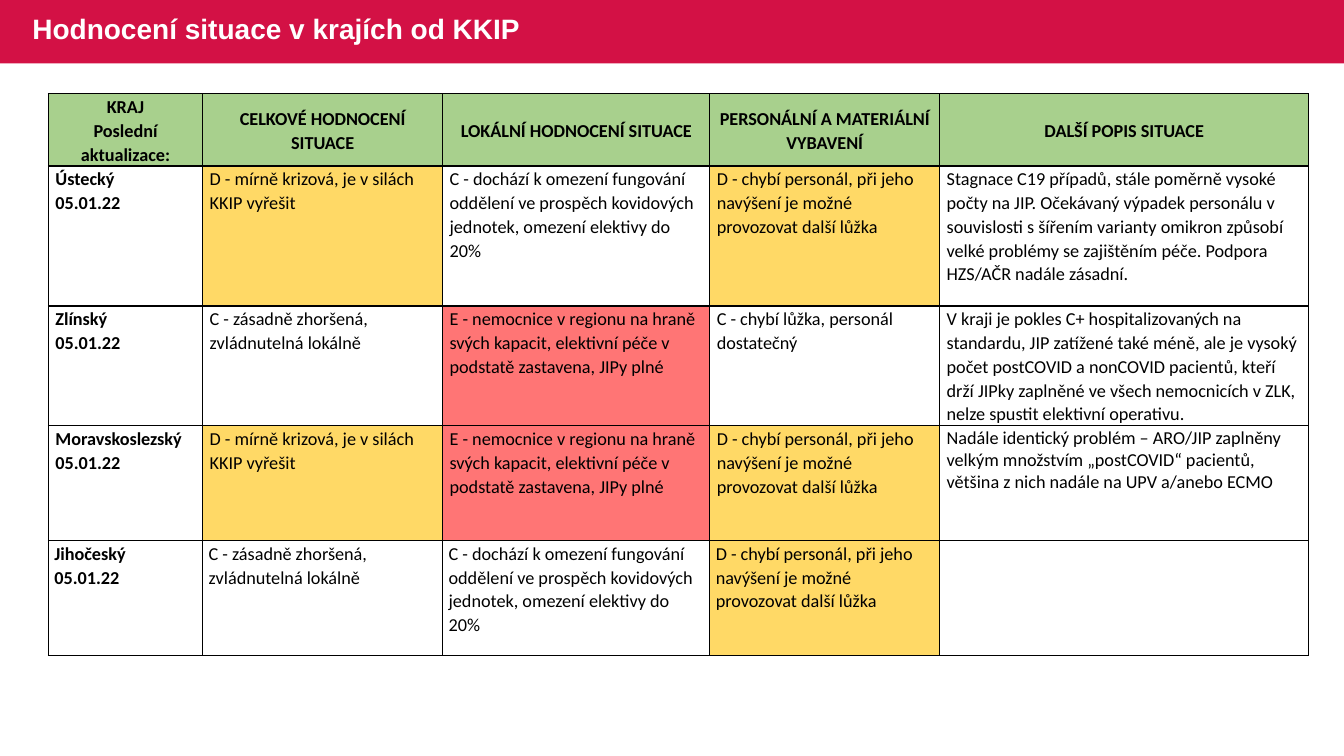
from lxml import etree
from pptx import Presentation
from pptx.dml.color import RGBColor
from pptx.enum.shapes import MSO_SHAPE
from pptx.enum.text import MSO_ANCHOR, MSO_AUTO_SIZE, PP_ALIGN
from pptx.oxml.ns import qn
from pptx.util import Inches, Pt

RECT = MSO_SHAPE.RECTANGLE
MIDDLE, TOP = MSO_ANCHOR.MIDDLE, MSO_ANCHOR.TOP
LEFT, CENTER = PP_ALIGN.LEFT, PP_ALIGN.CENTER
NO_FIT = MSO_AUTO_SIZE.NONE
TITLE_ONLY = 5

WIDE, HIGH = 13.33, 7.5
COLORS = {"band": "D31145", "head": "A8D08D", "white": "FFFFFF",
          "black": "000000", "C": "FFFFFF", "D": "FFD966", "E": "FF7575"}

COLS = [1.53, 2.38, 2.65, 2.28, 3.66]
ROWS = [0.68, 1.39, 1.14, 1.14, 1.14]
HEADS = [["KRAJ", "Poslední aktualizace:"], ["CELKOVÉ HODNOCENÍ SITUACE"],
         ["LOKÁLNÍ HODNOCENÍ SITUACE"], ["PERSONÁLNÍ A MATERIÁLNÍ VYBAVENÍ"],
         ["DALŠÍ POPIS SITUACE"]]
DATE = "05.01.22"

# Wording of each grade: overall, local, staff and equipment
GRADES = [
    {"C": "C - zásadně zhoršená, zvládnutelná lokálně",
     "D": "D - mírně krizová, je v silách KKIP vyřešit"},
    {"C": "C - dochází k omezení fungování oddělení ve prospěch kovidových "
          "jednotek, omezení elektivy do 20%",
     "E": "E - nemocnice v regionu na hraně svých kapacit, elektivní péče "
          "v podstatě zastavena, JIPy plné"},
    {"C": "C - chybí lůžka, personál dostatečný",
     "D": "D - chybí personál, při jeho navýšení je možné provozovat "
          "další lůžka"},
]
# Region, its three grades, note, line spacing of the note, side inset
REGIONS = [
    ("Ústecký", "DCD",
     "Stagnace C19 případů, stále poměrně vysoké počty na JIP. Očekávaný "
     "výpadek personálu v souvislosti s šířením varianty omikron způsobí "
     "velké problémy se zajištěním péče. Podpora HZS/AČR nadále zásadní.",
     1.07, 0.07),
    ("Zlínský", "CEC",
     "V kraji je pokles C+ hospitalizovaných na standardu, JIP zatížené také "
     "méně, ale je vysoký počet postCOVID a nonCOVID pacientů, kteří drží "
     "JIPky zaplněné ve všech nemocnicích v ZLK, nelze spustit elektivní "
     "operativu.", 1.07, 0.07),
    ("Moravskoslezský", "DED",
     "Nadále identický problém – ARO/JIP zaplněny velkým množstvím "
     "„postCOVID“ pacientů, většina z nich nadále na UPV a/anebo ECMO",
     1.0, 0.07),
    ("Jihočeský", "CCD", "", 1.07, 0.06),
]


def color(name):
    return RGBColor.from_string(COLORS[name])


def write(frame, lines, face, size, ink, bold, align, space):
    for i, line in enumerate(lines):
        para = frame.paragraphs[0] if i == 0 else frame.add_paragraph()
        para.alignment, para.line_spacing = align, space
        run = para.add_run()
        run.text = line
        font = run.font
        font.name, font.size, font.bold = face, Pt(size), bold
        font.color.rgb = color(ink)


def outline(cell):
    """Put a thin black border on all four sides, ahead of the fill."""
    props = cell._tc.get_or_add_tcPr()
    for i, side in enumerate(("a:lnL", "a:lnR", "a:lnT", "a:lnB")):
        line = etree.Element(qn(side), w=str(Pt(1)))
        fill = etree.SubElement(line, qn("a:solidFill"))
        etree.SubElement(fill, qn("a:srgbClr"), val=COLORS["black"])
        props.insert(i, line)


def fill_cell(cell, lines, fill="white", bold=False, align=LEFT,
              anchor=TOP, space=1.07, inset=0.07):
    cell.margin_left = cell.margin_right = Inches(inset)
    cell.margin_top, cell.margin_bottom = Inches(0.01), 0
    cell.vertical_anchor = anchor
    cell.fill.solid()
    cell.fill.fore_color.rgb = color(fill)
    outline(cell)
    write(cell.text_frame, lines, "Calibri", 13, "black", bold, align, space)


def add_header(slide, x, y, w, h):
    band = slide.shapes.add_shape(RECT, *map(Inches, (x, y, w, h)))
    band.shadow.inherit = False
    band.fill.solid()
    band.fill.fore_color.rgb = color("band")
    band.line.fill.background()
    title = slide.shapes.title
    slide.shapes._spTree.append(title._element)
    title.left, title.top = Inches(x + 0.22), Inches(y - 0.01)
    title.width, title.height = Inches(8.14), Inches(h)
    frame = title.text_frame
    frame.auto_size, frame.vertical_anchor = NO_FIT, MIDDLE
    write(frame, ["Hodnocení situace v krajích od KKIP"],
          "Arial", 20, "white", True, LEFT, 0.9)


def add_grid(slide, x, y):
    box = map(Inches, (x, y, sum(COLS), sum(ROWS)))
    table = slide.shapes.add_table(len(ROWS), len(COLS), *box).table
    table.first_row = table.horz_banding = False
    for col, width in zip(table.columns, COLS):
        col.width = Inches(width)
    for row, height in zip(table.rows, ROWS):
        row.height = Inches(height)
    for c, lines in enumerate(HEADS):
        fill_cell(table.cell(0, c), lines, "head", True, CENTER, MIDDLE)
    for r, (name, marks, note, space, inset) in enumerate(REGIONS, 1):
        fill_cell(table.cell(r, 0), [name, DATE], bold=True, inset=inset)
        for c, (mark, words) in enumerate(zip(marks, GRADES), 1):
            fill_cell(table.cell(r, c), [words[mark]], mark, inset=inset)
        fill_cell(table.cell(r, 4), [note] if note else [],
                  space=space, inset=inset)


def main():
    deck = Presentation()
    deck.slide_width, deck.slide_height = Inches(WIDE), Inches(HIGH)
    slide = deck.slides.add_slide(deck.slide_layouts[TITLE_ONLY])
    add_header(slide, 0, 0, WIDE, 0.63)
    add_grid(slide, 0.48, 0.93)
    deck.save("out.pptx")


if __name__ == "__main__":
    main()
